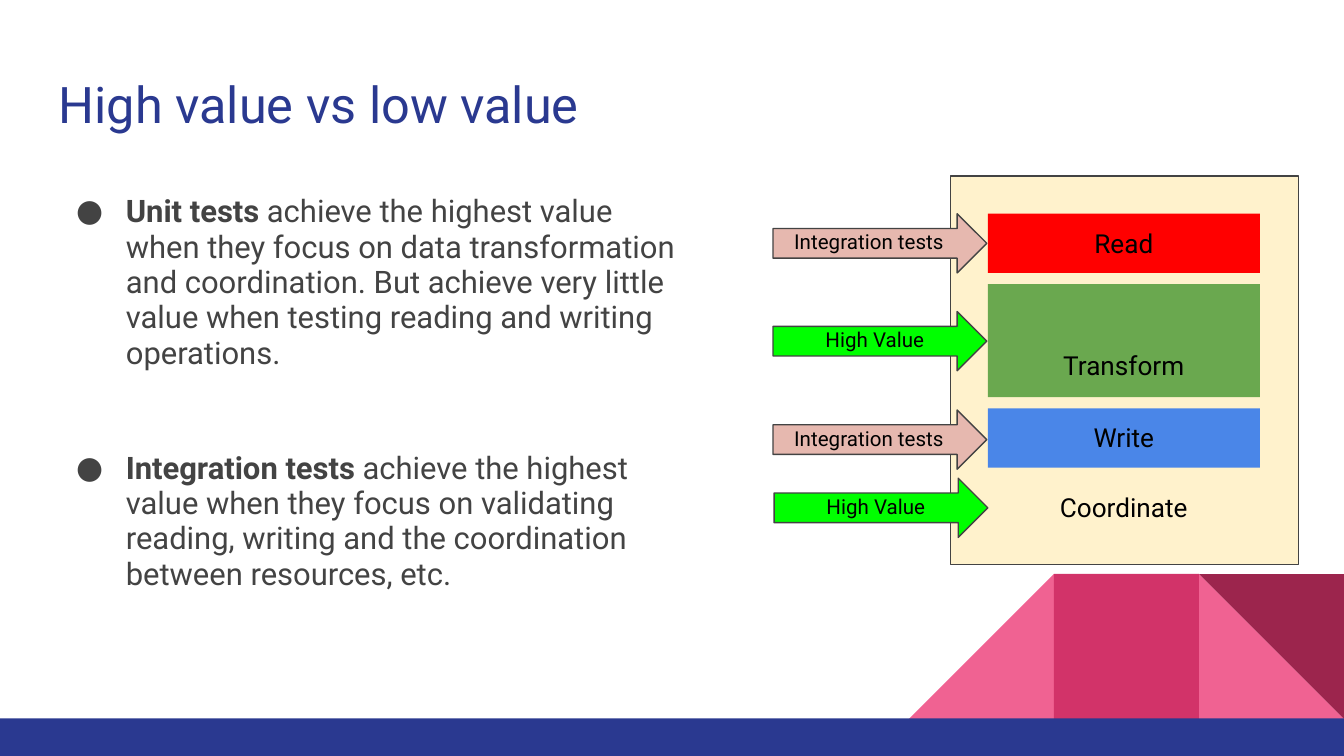
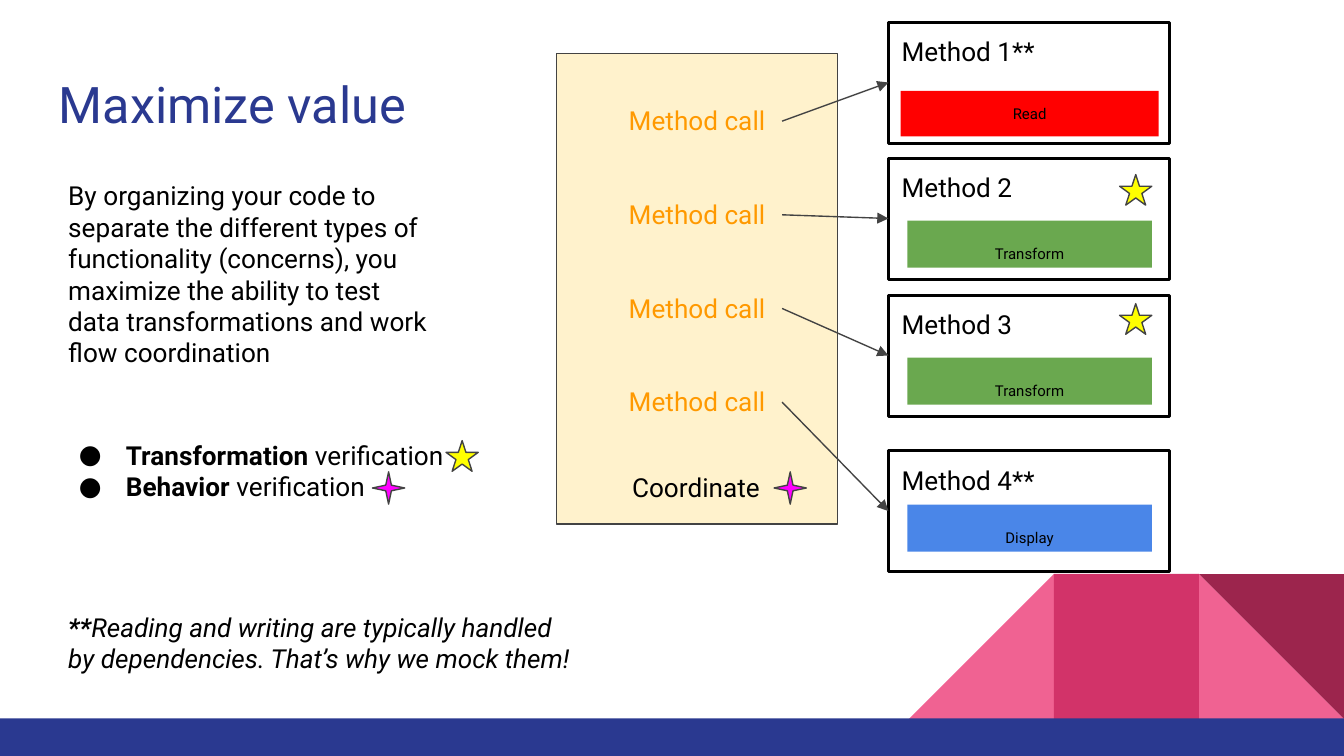
"""Builds two slides on where unit and integration tests bring value."""
from dataclasses import dataclass

from lxml import etree
from pptx import Presentation
from pptx.dml.color import RGBColor
from pptx.enum.shapes import MSO_CONNECTOR, MSO_SHAPE
from pptx.enum.text import MSO_ANCHOR, PP_ALIGN
from pptx.oxml.ns import qn
from pptx.util import Cm, Pt

RECT = MSO_SHAPE.RECTANGLE
WEDGE = MSO_SHAPE.RIGHT_TRIANGLE
ARROW = MSO_SHAPE.RIGHT_ARROW
STAR = MSO_SHAPE.STAR_5_POINT
SPARK = MSO_SHAPE.STAR_4_POINT
LINE = MSO_CONNECTOR.STRAIGHT
TOP = MSO_ANCHOR.TOP
MID = MSO_ANCHOR.MIDDLE
LEFT = PP_ALIGN.LEFT
CENTER = PP_ALIGN.CENTER
BOLD = {"bold": True}
SLANT = {"italic": True}


@dataclass(frozen=True)
class Theme:
    font: str = "Roboto"
    navy: str = "2A3990"
    pink: str = "F06292"
    rose: str = "D23369"
    wine: str = "9C254D"
    gray: str = "434343"
    black: str = "000000"
    cream: str = "FFF2CC"
    red: str = "FF0000"
    green: str = "6AA84F"
    blue: str = "4A86E8"
    lime: str = "00FF00"
    blush: str = "E6B8AF"
    orange: str = "FF9900"
    yellow: str = "FFFF00"
    magenta: str = "FF00FF"
    head: float = 27
    body: float = 16.6
    base: float = 14
    label: float = 11
    small: float = 8
    thin: float = 0.75
    thick: float = 1.5


def apply(item, vals):
    for name, val in vals.items():
        setattr(item, name, val)


class Deck:
    def __init__(self, theme):
        self.theme = theme
        self.file = Presentation()
        apply(self.file, {"slide_width": Cm(25.4), "slide_height": Cm(14.29)})
        self.slide = None

    def page(self, title, width):
        self.slide = self.file.slides.add_slide(self.file.slide_layouts[6])
        t = self.theme
        side, top = 2.74, 10.85
        left = 25.4 - 3 * side
        parts = ((2, WEDGE, t.pink, 0), (0, WEDGE, t.pink, 270),
                 (1, RECT, t.rose, 0), (2, WEDGE, t.wine, 180))
        for col, kind, fill, turn in parts:
            part = self.shape(kind, (left + col * side, top, side, side), fill)
            part.rotation = turn
        self.shape(RECT, (0, 13.58, 25.4, 0.71), t.navy)
        self.text((0.86, 1.14, width, 1.68), [title], t.head, t.navy)

    def shape(self, kind, area, fill=None, line=None, weight=None):
        item = self.slide.shapes.add_shape(kind, *map(Cm, area))
        item.shadow.inherit = False
        if fill:
            item.fill.solid()
            item.fill.fore_color.rgb = RGBColor.from_string(fill)
        else:
            item.fill.background()
        if line:
            self.stroke(item.line, line, weight or self.theme.thin)
        else:
            item.line.fill.background()
        return item

    def stroke(self, line, color, weight):
        line.color.rgb = RGBColor.from_string(color)
        line.width = Pt(weight)

    def text(self, area, paras, size, color=None, **look):
        item = self.slide.shapes.add_textbox(*map(Cm, area))
        self.letter(item, paras, size, color, **look)

    def block(self, area, word, size, fill, **look):
        item = self.shape(RECT, area, fill)
        self.letter(item, [word], size, align=CENTER, **look)

    def letter(self, item, paras, size, color=None, align=LEFT, anchor=TOP,
               pad=0.25, space=None, gap=0, hang=None):
        color = color or self.theme.black
        frame = item.text_frame
        apply(frame, {"word_wrap": True, "vertical_anchor": anchor,
                      "margin_left": Cm(0.25), "margin_right": Cm(0.25),
                      "margin_top": Cm(pad), "margin_bottom": Cm(pad)})
        for num, runs in enumerate(paras):
            para = frame.add_paragraph() if num else frame.paragraphs[0]
            if hang:
                self.bullet(para, color, hang)
            apply(para, {"alignment": align, "line_spacing": space})
            if num and gap:
                para.space_before = Pt(gap)
            if isinstance(runs, str):
                runs = [(runs, {})]
            for words, style in runs:
                run = para.add_run()
                run.text = words
                run.font.color.rgb = RGBColor.from_string(color)
                apply(run.font, {"name": self.theme.font, "size": Pt(size),
                                 **style})

    def bullet(self, para, color, hang):
        props = para._p.get_or_add_pPr()
        props.set("marL", str(Cm(1.27)))
        props.set("indent", str(-Cm(hang)))
        tint = etree.SubElement(props, qn("a:buClr"))
        etree.SubElement(tint, qn("a:srgbClr"), val=color)
        etree.SubElement(props, qn("a:buFont"), typeface=self.theme.font)
        etree.SubElement(props, qn("a:buChar"), char="●")

    def link(self, start, end):
        ends = map(Cm, (*start, *end))
        item = self.slide.shapes.add_connector(LINE, *ends)
        self.stroke(item.line, self.theme.gray, self.theme.thin)
        props = item.element.spPr
        etree.SubElement(props.find(qn("a:ln")), qn("a:tailEnd"),
                         type="triangle")
        etree.SubElement(props, qn("a:effectLst"))

    def mark(self, kind, fill, spots, high):
        for left, top in spots:
            self.shape(kind, (left, top, 0.61, high), fill, self.theme.gray)


def compare(deck):
    t = deck.theme
    deck.page("High value vs low value", 23.67)
    deck.text((0.86, 3.43, 12.45, 9.27), [
        [("Unit tests", BOLD),
         (" achieve the highest value when they focus on data transformation "
          "and coordination. But achieve very little value when testing "
          "reading and writing operations.", {})],
        [("Integration tests", BOLD),
         (" achieve the highest value when they focus on validating reading, "
          "writing and the coordination between resources, etc.", {})],
    ], t.body, t.gray, space=0.95, gap=42.6, hang=0.94)

    deck.shape(RECT, (17.96, 3.33, 6.58, 7.34), t.cream, t.gray)
    left, wide, high = 18.67, 5.14, 1.12
    deck.block((left, 4.04, wide, high), "Read", t.base, t.red)
    deck.block((left, 5.37, wide, 2.14), "Transform", t.base, t.green,
               pad=0.64, space=2.0)
    deck.block((left, 7.72, wide, high), "Write", t.base, t.blue)
    deck.text((left, 9.04, wide, high), ["Coordinate"], t.base, align=CENTER)

    low = ("Integration tests", t.blush, 0.15, 3.51)
    top = ("High Value", t.lime, 0.74, 2.9)
    rows = ((14.61, 4.04, low), (14.61, 5.89, top),
            (14.61, 7.75, low), (14.63, 9.04, top))
    for x, y, (word, fill, shift, span) in rows:
        deck.shape(ARROW, (x, y, 4.04, high), fill, t.gray)
        deck.text((x + shift, y + 0.06, span, 0.99), [word], t.label)


def improve(deck):
    t = deck.theme
    deck.page("Maximize value", 7.14)
    deck.text((1.04, 3.15, 7.29, 4.11), [
        "By organizing your code to separate the different types of "
        "functionality (concerns), you maximize the ability to test data "
        "transformations and work flow coordination"], t.base)
    deck.text((0.86, 8.05, 10.26, 2.31), [
        [(word, BOLD), (" verification", {})]
        for word in ("Transformation", "Behavior")], t.base, hang=0.89)
    deck.text((1.04, 11.3, 10.26, 1.7), [
        [("**", BOLD | SLANT),
         ("Reading and writing are typically handled by dependencies. "
          "That’s why we mock them!", SLANT)]], t.base)

    deck.shape(RECT, (10.52, 1.01, 5.31, 8.9), t.cream, t.gray)
    deck.text((10.59, 8.66, 5.13, 1.12), ["Coordinate"], t.base, align=CENTER)

    left, wide = 16.79, 5.31
    deep = {"anchor": MID, "pad": 0.64, "space": 2.0}
    slim = (17.15, 4.62, 0.89)
    cards = (
        ("Method 1**", 0.42, "Read", t.red, 1.3, (17.02, 4.88, 0.86), {}),
        ("Method 2", 2.99, "Transform", t.green, 1.18, slim, deep),
        ("Method 3", 5.58, "Transform", t.green, 1.18, slim, deep),
        ("Method 4**", 8.52, "Display", t.blue, 1.02, slim, deep),
    )
    for num, (name, y, job, fill, drop, (x, span, high), look) in enumerate(cards):
        card = deck.shape(RECT, (left, y, wide, 2.29), None, t.black, t.thick)
        deck.letter(card, [name], t.base)
        deck.block((x, y + drop, span, high), job, t.small, fill, **look)
        call = 1.73 + num * 1.77
        deck.text((11.56, call, 3.23, 1.12), ["Method call"], t.base,
                  t.orange, align=CENTER)
        deck.link((14.78, call + 0.56), (left, y + 1.14))

    deck.mark(STAR, t.yellow, ((8.43, 8.33), (21.16, 3.3), (21.16, 5.74)), 0.58)
    deck.mark(SPARK, t.magenta, ((7.04, 8.92), (14.63, 8.92)), 0.61)


def main():
    deck = Deck(Theme())
    compare(deck)
    improve(deck)
    deck.file.save("out.pptx")


if __name__ == "__main__":
    main()
